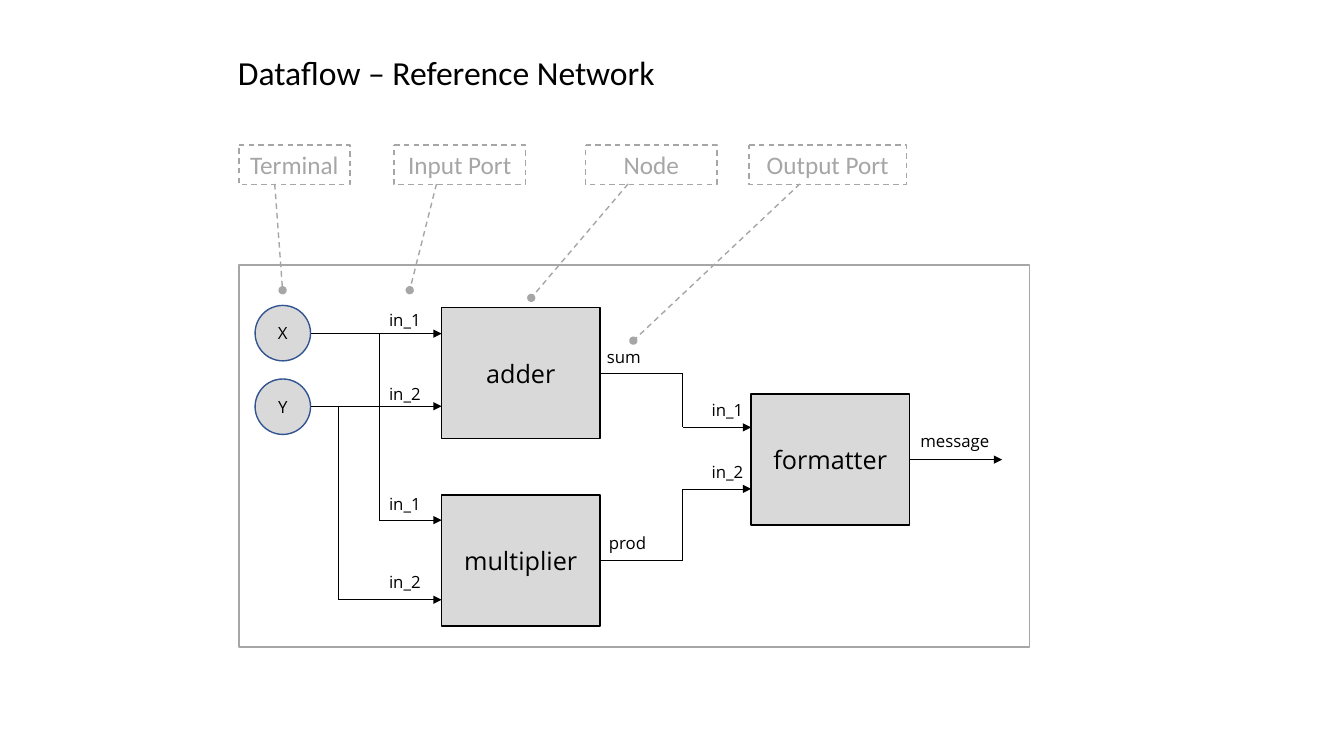
from collections import namedtuple
from itertools import pairwise

from lxml.etree import SubElement
from pptx import Presentation
from pptx.dml.color import RGBColor
from pptx.enum.dml import MSO_LINE_DASH_STYLE as Dash
from pptx.enum.shapes import MSO_CONNECTOR as Connector
from pptx.enum.shapes import MSO_SHAPE as Shape
from pptx.enum.text import MSO_ANCHOR as Anchor
from pptx.enum.text import MSO_AUTO_SIZE as AutoSize
from pptx.enum.text import PP_ALIGN as Align
from pptx.oxml.ns import qn
from pptx.util import Inches, Pt

COLORS = {"ink": "000000", "node": "D9D9D9", "terminal": "325491", "note": "A6A6A6"}
Box = namedtuple("Box", "left top width height")

TITLE_BOX = Box(2.26, 0.46, 4.38, 0.5)
LEGEND_BOX = Box(2.37, 1.44, 6.62, 0.39)
NETWORK_BOX = Box(2.37, 2.63, 7.84, 3.79)
NODE_SIZE = (1.57, 1.3)
TERMINAL_SIZE = (0.55, 0.55)
RIGHT_SIDE = 3

# Legend: text, left offset, width, pointer end (down, across) as shares of the box
LEGEND = [
    ("Terminal", 0, 1.1, 3.689, 0.394),
    ("Input Port", 1.54, 1.3, 3.689, 0.119),
    ("Node", 3.44, 1.3, 3.882, -0.416),
    ("Output Port", 5.06, 1.56, 4.971, -0.736),
]

# Network parts, as offsets from the frame's corner
TERMINALS = [("X", 0.16, 0.4), ("Y", 0.16, 1.13)]
NODES = [("adder", 2.01, 0.42), ("multiplier", 2.01, 2.28), ("formatter", 5.08, 1.28)]
WIRES = [  # source node, corner points
    (None, [(0.71, 0.68), (2.01, 0.68)]),
    (None, [(0.71, 1.4), (2.01, 1.4)]),
    (None, [(1.39, 0.68), (1.39, 2.53), (2.01, 2.53)]),
    (None, [(0.99, 1.4), (0.99, 3.32), (2.01, 3.32)]),
    ("adder", [(3.58, 1.07), (4.4, 1.07), (4.4, 1.61), (5.08, 1.61)]),
    ("multiplier", [(3.58, 2.93), (4.4, 2.93), (4.4, 2.22), (5.08, 2.22)]),
    ("formatter", [(6.65, 1.93), (7.57, 1.93)]),
]
PORTS = [
    ("in_1", 1.39, 0.39, 0.55),
    ("in_2", 1.39, 1.13, 0.55),
    ("in_1", 1.39, 2.22, 0.55),
    ("in_2", 1.39, 2.99, 0.55),
    ("sum", 3.55, 0.76, 0.55),
    ("prod", 3.57, 2.61, 0.58),
    ("in_1", 4.59, 1.29, 0.55),
    ("in_2", 4.59, 1.9, 0.55),
    ("message", 6.66, 1.59, 0.92),
]


def color(name):
    return RGBColor.from_string(COLORS[name])


def set_text(shape, text, font, size, ink="ink", align=Align.LEFT, **frame_format):
    frame = shape.text_frame
    for key, value in {"word_wrap": False, **frame_format}.items():
        setattr(frame, key, value)
    para = frame.paragraphs[0]
    para.alignment = align
    run = para.add_run()
    run.text = text
    for key, value in {"name": font, "size": Pt(size), "bold": False}.items():
        setattr(run.font, key, value)
    run.font.color.rgb = color(ink)


def add_block(page, kind, box, line, fill=None):
    shape = page.shapes.add_shape(kind, *map(Inches, box))
    shape.shadow.inherit = False
    if fill:
        shape.fill.solid()
        shape.fill.fore_color.rgb = color(fill)
    else:
        shape.fill.background()
    shape.line.color.rgb = color(line)
    shape.line.width = Pt(1)
    return shape


def add_line_end(shape, kind):
    SubElement(shape.line._get_or_add_ln(), qn("a:tailEnd"), type=kind)


def add_wire(page, points, source):
    """Draw a wire through its corner points, with an arrow at the last one."""
    for start, end in pairwise(points):
        ends = map(Inches, (*start, *end))
        segment = page.shapes.add_connector(Connector.STRAIGHT, *ends)
        segment.line.color.rgb = color("ink")
        segment.line.width = Pt(0.5)
        if source is not None and start == points[0]:
            segment.begin_connect(source, RIGHT_SIDE)
        if end == points[-1]:
            add_line_end(segment, "triangle")
        SubElement(segment._element.spPr, qn("a:effectLst"))


def draw_title(page, box):
    title = page.shapes.title
    for key, value in zip(box._fields, box):
        setattr(title, key, Inches(value))
    set_text(title, "Dataflow – Reference Network", "Calibri", 24,
             vertical_anchor=Anchor.TOP, auto_size=AutoSize.NONE)


def draw_legend(page, box):
    for text, offset, width, down, across in LEGEND:
        place = Box(box.left + offset, box.top, width, box.height)
        callout = add_block(page, Shape.LINE_CALLOUT_1, place, "note")
        for index, value in enumerate((0.986, 0.323, down, across)):
            callout.adjustments[index] = value
        callout.line.dash_style = Dash.DASH
        add_line_end(callout, "oval")
        set_text(callout, text, "Calibri", 18, "note", Align.CENTER,
                 vertical_anchor=Anchor.MIDDLE)


def draw_network(page, box):
    def shift(x, y):
        return box.left + x, box.top + y

    # Terminals and nodes
    blocks = {}
    for parts, kind, size, line, points in (
        (TERMINALS, Shape.OVAL, TERMINAL_SIZE, "terminal", 12),
        (NODES, Shape.RECTANGLE, NODE_SIZE, "ink", 18),
    ):
        for text, x, y in parts:
            block = add_block(page, kind, Box(*shift(x, y), *size), line, "node")
            set_text(block, text, "Open Sans", points, align=Align.CENTER,
                     vertical_anchor=Anchor.MIDDLE)
            blocks[text] = block

    # Wires
    for source, corners in WIRES:
        add_wire(page, [shift(*corner) for corner in corners], blocks.get(source))

    # Port names
    for text, x, y, width in PORTS:
        label = page.shapes.add_textbox(*map(Inches, (*shift(x, y), width, 0.3)))
        set_text(label, text, "Open Sans", 12, auto_size=AutoSize.SHAPE_TO_FIT_TEXT)

    # Frame
    add_block(page, Shape.RECTANGLE, box, "note")


def main():
    deck = Presentation()
    deck.slide_width, deck.slide_height = Inches(13.33), Inches(7.5)
    page = deck.slides.add_slide(deck.slide_layouts[5])
    draw_title(page, TITLE_BOX)
    draw_network(page, NETWORK_BOX)
    draw_legend(page, LEGEND_BOX)
    deck.save("out.pptx")


if __name__ == "__main__":
    main()
